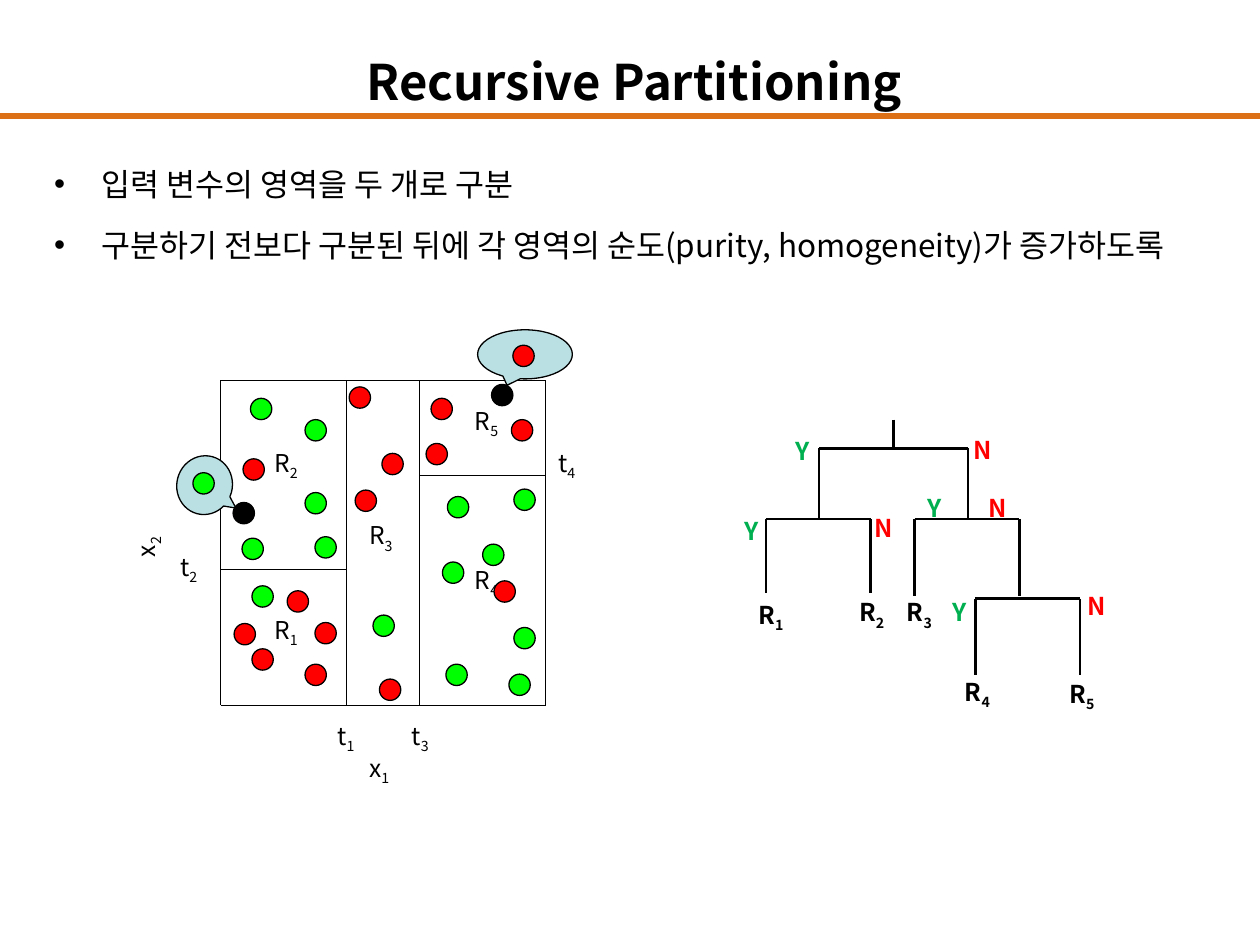
from dataclasses import dataclass

import pptx
import pptx.dml.color
import pptx.enum.shapes
import pptx.enum.text
import pptx.oxml.ns
import pptx.util
from lxml import etree
from pptx.util import Cm


@dataclass(frozen=True)
class Theme:
    font: str = "Noto Sans CJK KR"
    title: int = 28
    body: int = 18
    label: int = 14
    ink: str = "000000"
    rule: str = "DC7016"
    green: str = "00FF00"
    red: str = "FF0000"
    bubble: str = "BBE0E3"
    yes: str = "00B050"


theme = Theme()
align = pptx.enum.text.PP_ALIGN
preset = pptx.enum.shapes.MSO_SHAPE
qn = pptx.oxml.ns.qn
rgb = pptx.dml.color.RGBColor.from_string

deck = pptx.Presentation()
deck.slide_width, deck.slide_height = Cm(25.4), Cm(19.05)
slide = deck.slides.add_slide(deck.slide_layouts[6])


def draw_line(x1, y1, x2, y2, points, color=theme.ink):
    line = slide.shapes.add_connector(
        pptx.enum.shapes.MSO_CONNECTOR.STRAIGHT, Cm(x1), Cm(y1), Cm(x2), Cm(y2))
    line.line.width = pptx.util.Pt(points)
    line.line.color.rgb = rgb(color)
    etree.SubElement(line._element.spPr, qn("a:effectLst"))


def write(x, y, width, height, parts, size=theme.label, color=theme.ink,
          bold=False, alignment=align.LEFT):
    """Write one line; a second part becomes a subscript."""
    box = slide.shapes.add_textbox(Cm(x), Cm(y), Cm(width), Cm(height))
    frame = box.text_frame
    frame.word_wrap = True
    frame.vertical_anchor = pptx.enum.text.MSO_ANCHOR.MIDDLE
    paragraph = frame.paragraphs[0]
    paragraph.alignment = alignment
    for index, part in enumerate(parts):
        run = paragraph.add_run()
        run.text = part
        run.font.name = theme.font
        run.font.size = pptx.util.Pt(size)
        run.font.bold = bold
        run.font.color.rgb = rgb(color)
        if index == 1:
            run.font._element.set("baseline", "-25000")
    return box


# Title and rule
draw_line(0, 2.34, 25.4, 2.34, 3, theme.rule)
write(1.09, 0.91, 23.39, 1.45, ["Recursive Partitioning"], theme.title,
      bold=True, alignment=align.CENTER)

# Bullets
points = [
    "입력 변수의 영역을 두 개로 구분",
    "구분하기 전보다 구분된 뒤에 각 영역의 순도(purity, homogeneity)가 증가하도록",
]
body = slide.shapes.add_textbox(Cm(0.84), Cm(2.72), Cm(23.39), Cm(3.96)).text_frame
body.word_wrap = True
body.text = "\n".join(points)
for point in body.paragraphs:
    point.line_spacing = pptx.util.Pt(35)
    properties = point._p.get_or_add_pPr()
    properties.set("marL", str(Cm(0.95)))
    properties.set("indent", str(-Cm(0.95)))
    etree.SubElement(properties, qn("a:buFont"), typeface="Arial")
    etree.SubElement(properties, qn("a:buChar"), char="•")
    for run in point.runs:
        run.font.name = theme.font
        run.font.size = pptx.util.Pt(theme.body)
        run.font.color.rgb = rgb(theme.ink)
        etree.SubElement(run.font._element, qn("a:ea"), typeface=theme.font)

# Partitioned plane: frame and split thresholds
left, right, top, bottom = 4.45, 11, 7.67, 14.22
t1, t2, t3, t4 = 6.99, 11.48, 8.46, 9.58
for x in (left, t1, t3, right):
    draw_line(x, top, x, bottom, 0.75)
for x1, x2, y in ((left, right, top), (left, right, bottom),
                  (t3, right, t4), (left, t1, t2)):
    draw_line(x1, y, x2, y, 0.75)

# Threshold, axis and region names
for name, x, y in (
    ("t4", 11, 8.94), ("t1", 6.55, 14.45), ("t2", 3.38, 11.05), ("t3", 8.05, 14.45),
    ("x1", 7.19, 15.09), ("R1", 5.28, 12.32), ("R2", 5.28, 8.94),
    ("R3", 7.19, 10.41), ("R4", 9.32, 11.3), ("R5", 9.32, 8.1),
):
    write(x, y, 2.34, 0.84, name)
write(1.8, 9.88, 2.34, 0.86, "x2").rotation = 270

# Observations, new cases, and the bubbles that predict their class
dot = 0.43
green_dots = [
    (6.35, 10.82), (4.88, 10.85), (8.92, 11.33), (10.36, 9.86), (10.26, 13.59),
    (10.36, 12.65), (7.52, 12.4), (8.99, 13.39), (5.08, 11.81), (6.15, 9.93),
    (6.15, 8.46), (5.05, 8.03), (9.02, 10.01), (9.73, 10.97),
]
red_dots = [
    (6.35, 12.55), (8.69, 8.03), (4.9, 9.25), (4.72, 12.57), (7.65, 13.69),
    (7.16, 9.88), (7.04, 7.8), (6.15, 13.39), (10.31, 8.46), (8.59, 8.94),
    (5.79, 11.91), (5.08, 13.08), (7.7, 9.14), (9.96, 11.71),
]
new_cases = [(9.91, 7.75), (4.7, 10.13)]
marks = [
    (preset.OVAL, color, x, y, dot, dot, 0, ())
    for color, dots in ((theme.green, green_dots), (theme.red, red_dots),
                        (theme.ink, new_cases))
    for x, y in dots
]
marks += [
    (preset.OVAL_CALLOUT, theme.bubble, 9.63, 6.65, 1.91, 0.99, 0, (-0.19, 0.63)),
    (preset.OVAL, theme.red, 10.34, 6.96, dot, dot, 0, ()),
    (preset.OVAL_CALLOUT, theme.bubble, 3.53, 9.22, 1.19, 1.12, 284.8, (-0.24, 0.65)),
    (preset.OVAL, theme.green, 3.89, 9.53, dot, dot, 0, ()),
]
for outline, color, x, y, width, height, turn, tip in marks:
    mark = slide.shapes.add_shape(outline, Cm(x), Cm(y), Cm(width), Cm(height))
    mark.shadow.inherit = False
    mark.fill.solid()
    mark.fill.fore_color.rgb = rgb(color)
    mark.line.color.rgb = rgb(theme.ink)
    mark.line.width = pptx.util.Pt(0.75)
    mark.rotation = turn
    for index, offset in enumerate(tip):
        mark.adjustments[index] = offset

# Decision tree: stem, then one fork per split with its Y and N
draw_line(18.01, 8.46, 18.01, 9.04, 1.5)
for x1, x2, y1, y2, yes, no in (
    (16.51, 19.51, 9.04, 10.46, (15.7, 8.66), (19.33, 8.64)),
    (15.44, 17.55, 10.46, 11.96, (14.66, 10.26), (17.32, 10.21)),
    (18.44, 20.55, 10.46, 12.01, (18.36, 9.8), (19.63, 9.8)),
    (19.66, 21.77, 12.07, 13.61, (18.86, 11.91), (21.62, 11.79)),
):
    draw_line(x1, y1, x1, y2, 1.5)
    draw_line(x2, y1, x2, y2, 1.5)
    draw_line(x1, y1, x2, y1, 1.5)
    for answer, place, color in (("Y", yes, theme.yes), ("N", no, theme.red)):
        write(*place, 0.97, 0.86, answer, color=color, bold=True,
              alignment=align.CENTER)

# Leaves
for name, x, y in (("R1", 15.04, 12.01), ("R2", 17.07, 11.96), ("R3", 18.03, 11.96),
                   ("R4", 19.2, 13.56), ("R5", 21.31, 13.61)):
    write(x, y, 1.17, 0.84, name, bold=True)

deck.save("out.pptx")
